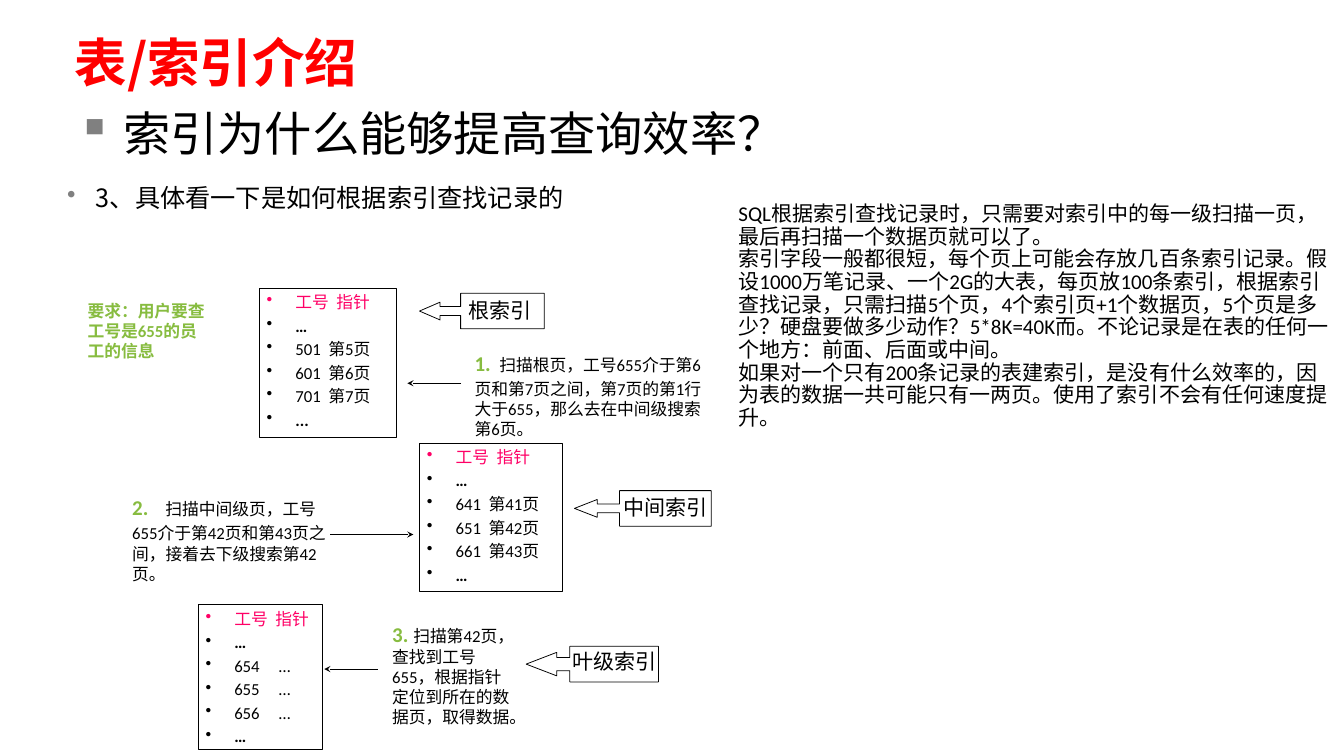
"""Build a slide explaining how a record is found through index levels."""
from dataclasses import dataclass

from lxml import etree
from pptx import Presentation
from pptx import util as u
from pptx.dml.color import RGBColor
from pptx.enum import shapes, text
from pptx.oxml.ns import qn


@dataclass(frozen=True)
class Theme:
    ink: str = "000000"
    red: str = "FF0000"
    pink: str = "FF0066"
    green: str = "87BC40"
    grey: str = "808080"
    heading_font: str = "Noto Sans CJK SC"
    body_font: str = "Calibri"
    title: int = 50
    question: int = 45
    strut: int = 36
    topic: int = 24
    label: int = 20
    small: int = 16
    line: float = 0.75


THEME = Theme()


def add_run(p, words, size=THEME.small, color=THEME.ink, bold=False,
            font=THEME.body_font, spacing=0):
    r = p.add_run()
    r.text = words
    r.font.size = u.Pt(size)
    r.font.bold = bold
    r.font.name = font
    r.font.color.rgb = RGBColor.from_string(color)
    props = r.font._element
    etree.SubElement(props, qn("a:ea")).set("typeface", font)
    if spacing:
        props.set("spc", str(round(spacing * 100)))


def add_bullet(p, char="•", margin=0.38, hang=0.38, color=None):
    props = p._p.get_or_add_pPr()
    props.set("marL", str(u.Inches(margin)))
    props.set("indent", str(-u.Inches(hang)))
    if color:
        fill = etree.SubElement(props, qn("a:buClr"))
        etree.SubElement(fill, qn("a:srgbClr")).set("val", color)
    etree.SubElement(props, qn("a:buChar")).set("char", char)


class IndexSlide:
    """Boxes are left, top, width and height in percent of the slide."""

    def __init__(self, prs):
        self.prs = prs
        self.s = prs.slides.add_slide(prs.slide_layouts[6])

    def place(self, box):
        sides = (self.prs.slide_width, self.prs.slide_height) * 2
        return [round(share * side / 100) for share, side in zip(box, sides)]

    def frame(self, sp, inset=(0.1, 0.05)):
        tf = sp.text_frame
        tf.word_wrap = True
        tf.vertical_anchor = text.MSO_ANCHOR.TOP
        tf.margin_left = tf.margin_right = u.Inches(inset[0])
        tf.margin_top = tf.margin_bottom = u.Inches(inset[1])
        return tf

    def textbox(self, box, **kw):
        return self.frame(self.s.shapes.add_textbox(*self.place(box)), **kw)

    def paragraphs(self, tf, count):
        for _ in range(count - 1):
            tf.add_paragraph()
        for p in tf.paragraphs:
            p.alignment = text.PP_ALIGN.LEFT
        return tf.paragraphs

    def note(self, box, *lines, leading=None, inset=(0.1, 0.05), **fmt):
        tf = self.textbox(box, inset=inset)
        for p, words in zip(self.paragraphs(tf, len(lines)), lines):
            if leading:
                p.line_spacing = leading
            add_run(p, words, **fmt)

    def outline(self, kind, box):
        sp = self.s.shapes.add_shape(kind, *self.place(box))
        sp.shadow.inherit = False
        sp.fill.background()
        sp.line.color.rgb = RGBColor.from_string(THEME.ink)
        sp.line.width = u.Pt(THEME.line)
        return sp

    def topics(self, box, question, topic):
        tf = self.textbox(box, inset=(0, 0))
        first, second = self.paragraphs(tf, 2)
        second.space_before = u.Pt(20)
        add_bullet(first, "▪", 0.74, 0.61, THEME.grey)
        add_bullet(second, color=THEME.grey)
        add_run(first, question, THEME.question, font=THEME.heading_font)
        add_run(second, topic, THEME.topic, font=THEME.heading_font)

    def index_page(self, box, rows, last="…", gap=3.6):
        tf = self.frame(self.outline(shapes.MSO_SHAPE.RECTANGLE, box))
        lines = [("工号", "指针"), ("…",), *rows, (last,)]
        for i, (p, cells) in enumerate(zip(self.paragraphs(tf, len(lines)), lines)):
            if i:
                p.space_before = u.Pt(THEME.small * 0.2)
            add_bullet(p)
            fmt = dict(color=THEME.ink if i else THEME.pink, bold=len(cells) == 1)
            add_run(p, cells[0], **fmt)
            for cell in cells[1:]:
                add_run(p, " ", spacing=gap if i else 3.6, **fmt)
                add_run(p, cell, **fmt)

    def callout(self, box, adjustments, label, label_box):
        sp = self.outline(shapes.MSO_SHAPE.LEFT_ARROW_CALLOUT, box)
        for i, value in enumerate(adjustments):
            sp.adjustments[i] = value
        self.note(label_box, label, size=THEME.label)

    def step(self, box, number, words, strut=THEME.strut, gap=0):
        p = self.paragraphs(self.textbox(box), 1)[0]
        add_run(p, number, THEME.label, THEME.green, bold=True)
        add_run(p, " ", strut, spacing=gap)
        add_run(p, words)

    def arrow(self, start, end, y):
        ends = self.place((start, y, end, y))
        sp = self.s.shapes.add_connector(shapes.MSO_CONNECTOR.STRAIGHT, *ends)
        sp.line.color.rgb = RGBColor.from_string(THEME.ink)
        sp.line.width = u.Pt(THEME.line)
        etree.SubElement(sp.line._get_or_add_ln(), qn("a:tailEnd")).set("type", "stealth")
        etree.SubElement(sp._element.spPr, qn("a:effectLst"))


def main():
    prs = Presentation()
    prs.slide_width, prs.slide_height = u.Inches(17.78), u.Inches(10)
    s = IndexSlide(prs)

    s.topics((5, 13.8, 90, 69.5), "索引为什么能够提高查询效率？",
             "3、具体看一下是如何根据索引查找记录的")
    s.note((5, 4, 90, 8.7), "表/索引介绍", inset=(0.1, 0), size=THEME.title,
           color=THEME.red, bold=True, font=THEME.heading_font)
    s.note((5.96, 39.3, 10.18, 9), "要求：用户要查工号是655的员工的信息",
           color=THEME.green, bold=True)

    s.index_page((19.29, 38.1, 10.18, 19.7),
                 [(str(501 + 100 * i), f"第{5 + i}页") for i in range(3)], last="...")
    s.index_page((31.21, 58.6, 10.63, 19.7),
                 [(str(641 + 10 * i), f"第{41 + i}页") for i in range(3)])
    s.index_page((14.74, 80, 9.28, 19.1),
                 [(str(654 + i), "…") for i in range(3)], gap=14.5)

    s.callout((31.21, 38.8, 9.28, 4.7), (0.25, 0.25, 0.58, 0.67),
              "根索引", (34.31, 38.9, 6.19, 4.3))
    s.callout((42.74, 64.9, 10.18, 4.7), (0.25, 0.25, 0.64, 0.67),
              "中间索引", (45.84, 64.9, 7.54, 4.3))
    s.callout((39.15, 85.5, 9.84, 4.7), (0.37, 0.33, 0.86, 0.67),
              "叶级索引", (42.01, 85.3, 7.54, 4.3))

    s.step((34.76, 43.6, 18.17, 15.1), "1.",
           "扫描根页，工号655介于第6页和第7页之间，第7页的第1行大于655，"
           "那么去在中间级搜索第6页。")
    s.step((9.28, 62.7, 15.52, 15.1), "2.",
           "扫描中间级页，工号655介于第42页和第43页之间，接着去下级搜索第42页。", gap=8)
    s.step((28.63, 81.7, 10.18, 15.1), "3.",
           "扫描第42页，查找到工号655，根据指针定位到所在的数据页，取得数据。",
           strut=THEME.label)

    s.arrow(34.31, 30.31, 50.7)
    s.arrow(24.58, 30.76, 70.7)
    s.arrow(28.12, 24.13, 88.5)

    s.note((54.39, 26.4, 45.61, 31.3),
           "SQL根据索引查找记录时，只需要对索引中的每一级扫描一页，"
           "最后再扫描一个数据页就可以了。",
           "索引字段一般都很短，每个页上可能会存放几百条索引记录。"
           "假设1000万笔记录、一个2G的大表，每页放100条索引，根据索引查找记录，"
           "只需扫描5个页，4个索引页+1个数据页，5个页是多少？硬盘要做多少动作？"
           "5*8K=40K而。不论记录是在表的任何一个地方：前面、后面或中间。",
           "如果对一个只有200条记录的表建索引，是没有什么效率的，"
           "因为表的数据一共可能只有一两页。使用了索引不会有任何速度提升。",
           leading=0.9, size=THEME.label)
    prs.save("out.pptx")


if __name__ == "__main__":
    main()
